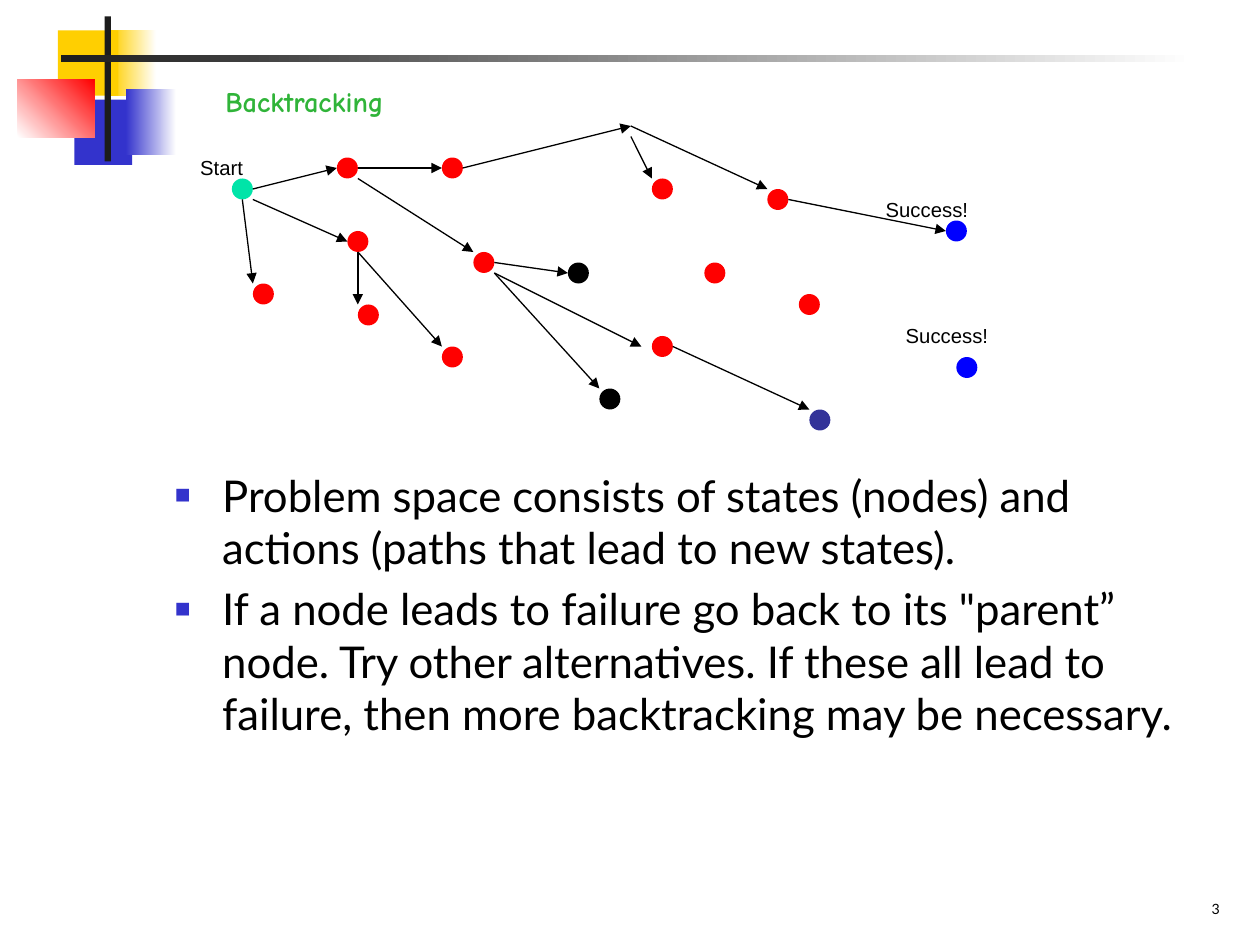
from pptx import Presentation, util as u
from pptx.dml.color import RGBColor
from pptx.enum import shapes, text
from pptx.oxml import parse_xml
from pptx.oxml.ns import nsdecls

BLACK = RGBColor(0x00, 0x00, 0x00)
WHITE = RGBColor(0xFF, 0xFF, 0xFF)
CHARCOAL = RGBColor(0x1C, 0x1C, 0x1C)
YELLOW = RGBColor(0xFF, 0xCF, 0x01)
INDIGO = RGBColor(0x33, 0x33, 0xCC)
NAVY = RGBColor(0x33, 0x33, 0x99)
RED = RGBColor(0xFF, 0x00, 0x00)
BLUE = RGBColor(0x00, 0x00, 0xFF)
MINT = RGBColor(0x00, 0xE4, 0xA8)
GREEN = RGBColor(0x30, 0xB4, 0x39)

ORNAMENT = [
    (63.4, 17.3, 25.9, 37.4, YELLOW, WHITE, 0),
    (42.5, 56.9, 33.1, 37.4, INDIGO, None, 0),
    (33.1, 17.3, 34.6, 37.4, YELLOW, None, 0),
    (72, 51.1, 28.8, 37.4, INDIGO, WHITE, 0),
    (10.1, 45.4, 43.9, 33.1, WHITE, RED, 45),
    (59.8, 9.4, 3.6, 82.8, CHARCOAL, None, 0),
    (34.6, 31.7, 648, 3.6, CHARCOAL, WHITE, 0),
]
STATES = {
    MINT: [(0, 18)],
    RED: [(2, 28), (11, 23), (23, 25), (20, 16), (10, 16), (12, 30), (40, 33),
          (40, 18), (45, 26), (20, 34), (54, 29), (51, 19)],
    BLACK: [(35, 38), (32, 26)],
    NAVY: [(55, 40)],
    BLUE: [(68, 22), (69, 35)],
}
ACTIONS = [
    ((1, 18), (9, 16)), ((1, 19), (10, 23)), ((0, 19), (1, 27)),
    ((11, 16), (19, 16)), ((11, 17), (22, 24)), ((11, 24), (11, 29)),
    ((11, 24), (19, 33)), ((24, 26), (38, 33)), ((24, 26), (34, 37)),
    ((41, 33), (54, 39)), ((24, 25), (31, 26)), ((21, 16), (37, 12)),
    ((37, 13), (39, 17)), ((37, 12), (50, 18)), ((52, 19), (67, 22)),
]
LABELS = [("Start", 107.3, 72, 56.9), ("Success!", 499, 96, 95.8),
          ("Success!", 510.5, 168, 95.8)]
POINTS = [
    "Problem space consists of states (nodes) and actions (paths that lead to new states).",
    "If a node leads to failure go back to its \"parent” node. Try other alternatives. "
    "If these all lead to failure, then more backtracking may be necessary.",
]


class SearchSlide:
    """Draws the parts of a search-tree slide in one style."""

    step = 6
    origin = 138.5
    node_size = 12

    def __init__(self, slide):
        self.slide = slide

    def place(self, cell):
        column, row = cell
        return self.origin + self.step * column, self.step * row

    def block(self, left, top, width, height, color, fade=None, angle=0,
              kind=shapes.MSO_SHAPE.RECTANGLE):
        block = self.slide.shapes.add_shape(
            kind, u.Pt(left), u.Pt(top), u.Pt(width), u.Pt(height))
        block.shadow.inherit = False
        block.line.fill.background()
        if fade is None:
            block.fill.solid()
            block.fill.fore_color.rgb = color
        else:
            block.fill.gradient()
            block.fill.gradient_angle = angle
            for stop, shade in zip(block.fill.gradient_stops, (color, fade)):
                stop.color.rgb = shade

    def state(self, cell, color):
        x, y = self.place(cell)
        half = self.node_size / 2
        self.block(x - half, y - half, self.node_size, self.node_size, color,
                   kind=shapes.MSO_SHAPE.OVAL)

    def action(self, start, end):
        ends = [u.Pt(value) for cell in (start, end) for value in self.place(cell)]
        arrow = self.slide.shapes.add_connector(shapes.MSO_CONNECTOR.STRAIGHT, *ends)
        arrow.line.color.rgb = BLACK
        arrow.line.width = u.Pt(0.75)
        arrow.line._get_or_add_ln().append(
            parse_xml(f'<a:tailEnd {nsdecls("a")} type="triangle"/>'))
        arrow._element.spPr.append(parse_xml(f'<a:effectLst {nsdecls("a")}/>'))

    def frame(self, left, top, width, height, wrap=True, anchor=text.MSO_ANCHOR.TOP):
        frame = self.slide.shapes.add_textbox(
            u.Pt(left), u.Pt(top), u.Pt(width), u.Pt(height)).text_frame
        frame.word_wrap = wrap
        frame.vertical_anchor = anchor
        return frame

    def run(self, paragraph, words, size, font, color=BLACK, bold=False, lowered=False):
        run = paragraph.add_run()
        run.text = words
        run.font.size = u.Pt(size)
        run.font.name = font
        run.font.color.rgb = color
        run.font.bold = bold
        if lowered:
            run.font._element.set("baseline", "-25000")

    def label(self, words, left, top, width):
        frame = self.frame(left, top, width, 31, wrap=False)
        frame.auto_size = text.MSO_AUTO_SIZE.SHAPE_TO_FIT_TEXT
        self.run(frame.paragraphs[0], words, 20, "Arial", lowered=True)

    def bullets(self, points, left, top, width, height):
        frame = self.frame(left, top, width, height)
        for index, point in enumerate(points):
            paragraph = frame.add_paragraph() if index else frame.paragraphs[0]
            paragraph.space_before = u.Pt(5)
            properties = paragraph._p.get_or_add_pPr()
            properties.set("marL", str(u.Pt(27)))
            properties.set("indent", str(u.Pt(-27)))
            for mark in (f'<a:buClr {nsdecls("a")}><a:srgbClr val="{INDIGO}"/></a:buClr>',
                         f'<a:buSzPct {nsdecls("a")} val="60000"/>',
                         f'<a:buFont {nsdecls("a")} typeface="Arial"/>',
                         f'<a:buChar {nsdecls("a")} char="■"/>'):
                properties.append(parse_xml(mark))
            self.run(paragraph, point, 25, "Lato")


def main():
    deck = Presentation()
    deck.slide_width, deck.slide_height = u.Pt(720), u.Pt(540)
    page = SearchSlide(deck.slides.add_slide(deck.slide_layouts[6]))

    for part in ORNAMENT:
        page.block(*part)
    page.bullets(POINTS, 92.9, 264.2, 587.5, 218.9)

    number = page.frame(554.4, 491.8, 149.8, 36, anchor=text.MSO_ANCHOR.BOTTOM).paragraphs[0]
    number.alignment = text.PP_ALIGN.RIGHT
    page.run(number, "3", 14, "Lato", lowered=True)
    title = page.frame(121.7, 31.7, 481.7, 39.6, anchor=text.MSO_ANCHOR.BOTTOM).paragraphs[0]
    page.run(title, "Backtracking", 28, "Comic Neue", GREEN, bold=True, lowered=True)

    for color, cells in STATES.items():
        for cell in cells:
            page.state(cell, color)
    for label in LABELS:
        page.label(*label)
    for start, end in ACTIONS:
        page.action(start, end)
    deck.save("out.pptx")


if __name__ == "__main__":
    main()
